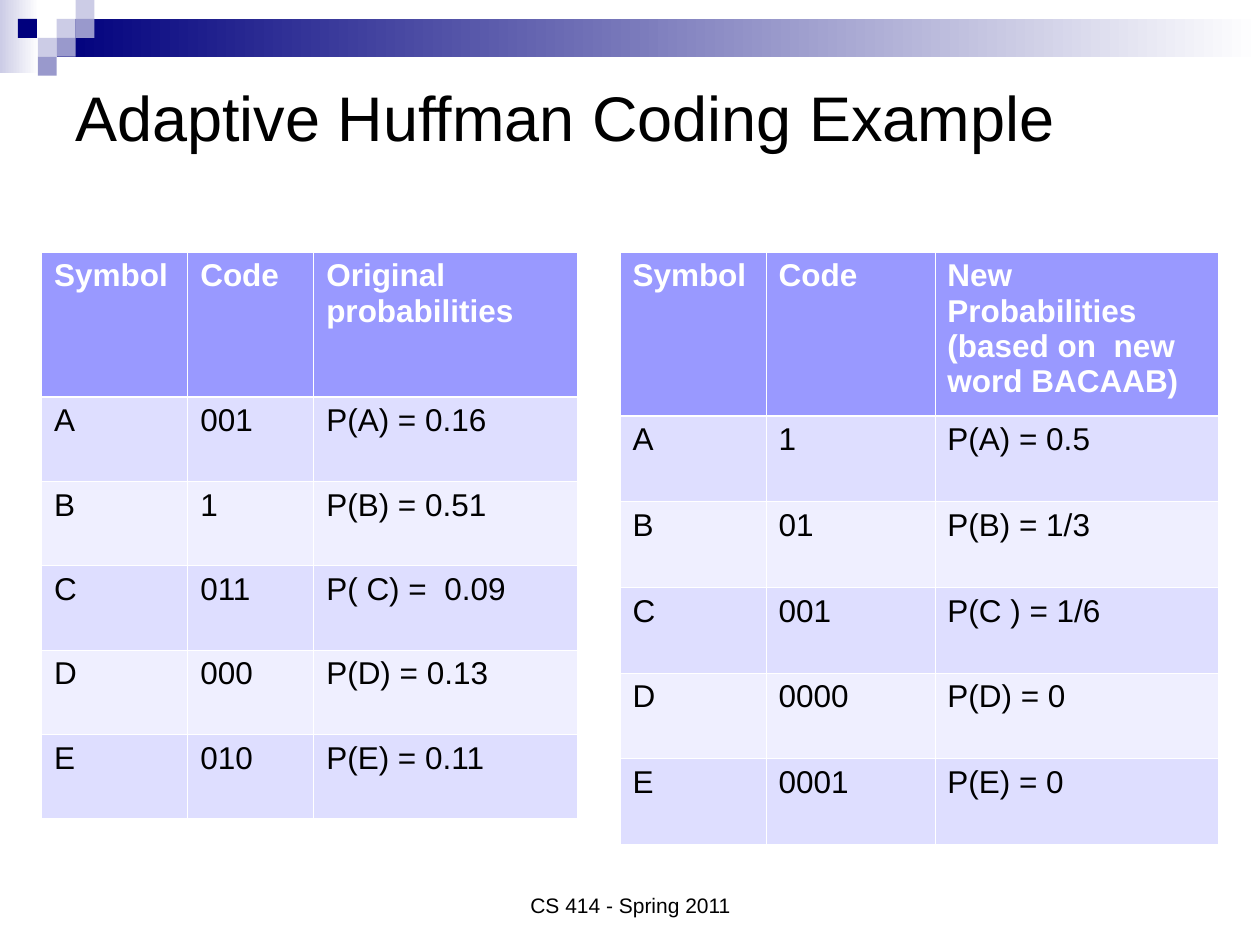
from dataclasses import dataclass

from lxml.etree import SubElement
from pptx import Presentation
from pptx.dml.color import RGBColor
from pptx.enum.shapes import MSO_SHAPE
from pptx.enum.text import MSO_ANCHOR, PP_ALIGN
from pptx.oxml.ns import qn
from pptx.util import Inches, Pt


@dataclass(frozen=True)
class Theme:
    font: str = "Arial"
    title_size: int = 36
    table_size: int = 18
    footer_size: int = 12
    text: str = "000000"
    white: str = "FFFFFF"
    navy: str = "00007D"
    lavender: str = "CCCCE6"
    violet: str = "9999CC"
    header: str = "9999FF"
    bands: tuple = ("DEDEFF", "EFEFFF")
    thin_border: float = 0.45
    header_border: float = 1.47


THEME = Theme()


def rgb(color):
    return RGBColor.from_string(color)


def style_text(tf, size, color=THEME.text, bold=False, align=PP_ALIGN.LEFT):
    for p in tf.paragraphs:
        p.alignment = align
        for r in p.runs:
            r.font.name = THEME.font
            r.font.size = Pt(size)
            r.font.bold = bold
            r.font.color.rgb = rgb(color)


def add_rect(slide, left, top, width, height, *colors):
    """Draw a borderless rectangle: one colour is solid, two fade left to right."""
    sp = slide.shapes.add_shape(MSO_SHAPE.RECTANGLE, Inches(left), Inches(top),
                                Inches(width), Inches(height))
    sp.shadow.inherit = False
    sp.line.fill.background()
    if len(colors) == 1:
        sp.fill.solid()
        sp.fill.fore_color.rgb = rgb(colors[0])
    else:
        sp.fill.gradient()
        sp.fill.gradient_angle = 0
        for stop, color in zip(sp.fill.gradient_stops, colors):
            stop.color.rgb = rgb(color)


def add_banner(slide, left, top, width):
    """Draw the fading bar and its checkered corner."""
    unit = 0.15
    add_rect(slide, left, top, 0.31, 0.58, THEME.lavender, THEME.white)
    add_rect(slide, left + 3 * unit, top + unit, width - 3 * unit, 2 * unit,
             THEME.navy, THEME.white)
    squares = [
        (3, 1, THEME.lavender), (4, 0, THEME.lavender), (4, 1, THEME.violet),
        (2, 2, THEME.lavender), (0.95, 1, THEME.navy), (3, 2, THEME.violet),
        (2, 3, THEME.violet),
    ]
    for col, row, color in squares:
        add_rect(slide, left + col * unit, top + row * unit, unit, unit, color)


def add_text(slide, left, top, width, height, text, size, anchor, align):
    box = slide.shapes.add_textbox(Inches(left), Inches(top), Inches(width), Inches(height))
    tf = box.text_frame
    tf.word_wrap = True
    tf.vertical_anchor = anchor
    tf.text = text
    style_text(tf, size, align=align)


def set_borders(cell, top, bottom):
    """Give the cell white borders, with its top and bottom widths in points."""
    tcPr = cell._tc.get_or_add_tcPr()
    sides = {"L": THEME.thin_border, "R": THEME.thin_border, "T": top, "B": bottom}
    for side, width in sides.items():
        ln = SubElement(tcPr, qn(f"a:ln{side}"), w=str(Pt(width)))
        fill = SubElement(ln, qn("a:solidFill"))
        SubElement(fill, qn("a:srgbClr"), val=THEME.white)


def add_code_table(slide, left, top, col_widths, header_height, row_height, rows):
    height = header_height + row_height * (len(rows) - 1)
    table = slide.shapes.add_table(len(rows), len(col_widths), Inches(left), Inches(top),
                                   Inches(sum(col_widths)), Inches(height)).table
    for column, width in zip(table.columns, col_widths):
        column.width = Inches(width)
    for i, values in enumerate(rows):
        is_header = i == 0
        table.rows[i].height = Inches(header_height if is_header else row_height)
        for j, value in enumerate(values):
            cell = table.cell(i, j)
            set_borders(cell,
                        top=THEME.header_border if i == 1 else THEME.thin_border,
                        bottom=THEME.header_border if is_header else THEME.thin_border)
            cell.fill.solid()
            cell.fill.fore_color.rgb = rgb(THEME.header if is_header
                                           else THEME.bands[(i - 1) % 2])
            cell.text_frame.text = value
            style_text(cell.text_frame, THEME.table_size,
                       THEME.white if is_header else THEME.text, is_header)


ORIGINAL_CODES = [
    ("Symbol", "Code", "Original probabilities"),
    ("A", "001", "P(A) = 0.16"),
    ("B", "1", "P(B) = 0.51"),
    ("C", "011", "P( C) =  0.09"),
    ("D", "000", "P(D) = 0.13"),
    ("E", "010", "P(E) = 0.11"),
]
NEW_CODES = [
    ("Symbol", "Code", "New Probabilities (based on  new word BACAAB)"),
    ("A", "1", "P(A) = 0.5"),
    ("B", "01", "P(B) = 1/3"),
    ("C", "001", "P(C ) = 1/6"),
    ("D", "0000", "P(D) = 0"),
    ("E", "0001", "P(E) = 0"),
]


def main():
    prs = Presentation()
    prs.slide_width, prs.slide_height = Inches(10), Inches(7.5)
    slide = prs.slides.add_slide(prs.slide_layouts[6])

    add_banner(slide, 0, 0, 10)
    add_text(slide, 0.5, 0.3, 9, 1.25, "Adaptive Huffman Coding Example",
             THEME.title_size, MSO_ANCHOR.MIDDLE, PP_ALIGN.LEFT)
    add_code_table(slide, 0.33, 2, (1.16, 1, 2.09), 1.15, 0.67, ORIGINAL_CODES)
    add_code_table(slide, 4.92, 2, (1.16, 1.34, 2.25), 1.3, 0.68, NEW_CODES)
    add_text(slide, 3.42, 6.83, 3.17, 0.5, "CS 414 - Spring 2011",
             THEME.footer_size, MSO_ANCHOR.BOTTOM, PP_ALIGN.CENTER)

    prs.save("out.pptx")


if __name__ == "__main__":
    main()
